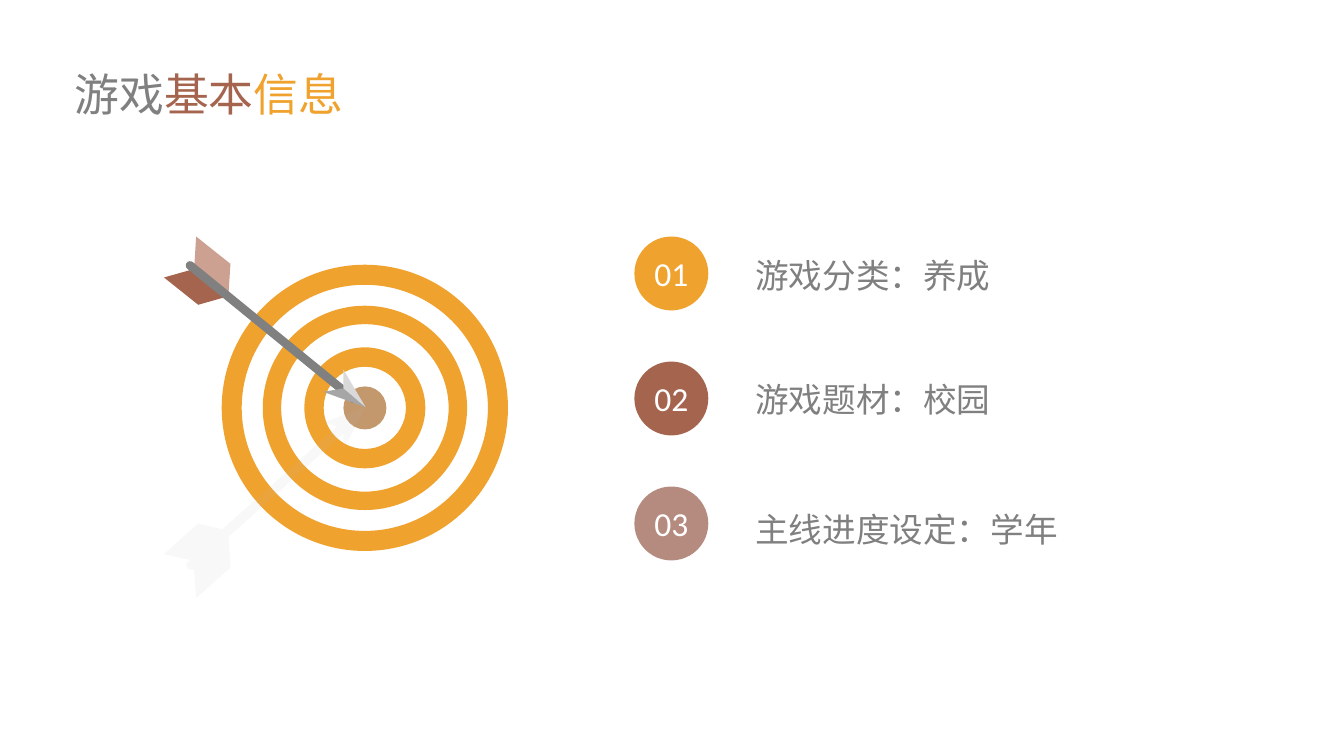
from collections import namedtuple
from math import atan2, cos, pi, sin

from lxml import etree
from pptx import Presentation
from pptx.dml.color import RGBColor
from pptx.enum.shapes import MSO_SHAPE
from pptx.enum.text import MSO_ANCHOR, PP_ALIGN
from pptx.oxml.ns import qn
from pptx.util import Inches, Pt

OVAL, DONUT = MSO_SHAPE.OVAL, MSO_SHAPE.DONUT
MIDDLE, CENTER = MSO_ANCHOR.MIDDLE, PP_ALIGN.CENTER
UNIT = Inches(0.1)
COLUMNS, ROWS = 100, 56.25
CHINESE_FONT, NUMBER_FONT = "Noto Sans CJK SC", "Calibri"
COLORS = {
    "gold": "F0A22E", "brown": "A5644E", "rose": "B58B80", "pink": "CCA192",
    "tan": "C3986D", "gray": "808080", "steel": "A6A6A6", "silver": "D9D9D9",
    "shadow": "BFBFBF", "white": "FFFFFF",
}
Box = namedtuple("Box", "left top width height")

RINGS = [(21.3, 0.07), (15.2, 0.09), (9, 0.16)]
BULLSEYE = 3.2
FEATHERS = [
    ("brown", [(0.32, 0.35), (0.17, 0.4), (0, 0.24), (0.15, 0.19)]),
    ("pink", [(0.32, 0.35), (0.33, 0.16), (0.16, 0), (0.15, 0.19)]),
]
BARBS = [
    ("steel", [(0.79, 0.91), (1, 1), (0.89, 0.89)]),
    ("silver", [(0.89, 0.89), (1, 1), (0.89, 0.78)]),
]
SHAFT_ENDS = (0.13, 0.17), (0.94, 0.95)
SHAFT_RADIUS = 0.32
SHADOW = [
    (1, 0), (0.89, 0.22), (0.89, 0.14), (0.32, 0.68), (0.33, 0.84), (0.16, 1),
    (0.15, 0.85), (0.12, 0.85), (0.11, 0.82), (0.13, 0.8), (0, 0.77),
    (0.17, 0.61), (0.29, 0.64), (0.86, 0.1), (0.79, 0.08),
]
ITEMS = [
    ("01", "gold", "游戏分类：养成", 0.8),
    ("02", "brown", "游戏题材：校园", 0.7),
    ("03", "rose", "主线进度设定：学年", 1.1),
]
TITLE = [("游戏", "gray"), ("基本", "brown"), ("信息", "gold")]


def grid(*lengths):
    """Turn grid lengths into slide lengths."""
    return [round(length * UNIT) for length in lengths]


def paint(shape, color):
    """Give a shape a plain fill without outline or shadow."""
    shape.shadow.inherit = False
    shape.fill.solid()
    shape.fill.fore_color.rgb = RGBColor.from_string(COLORS[color])
    shape.line.fill.background()
    return shape


def add_round(slide, kind, box, color):
    """Add a filled disc or ring that fills the box."""
    return paint(slide.shapes.add_shape(kind, *grid(*box)), color)


def add_polygon(slide, points, color):
    """Add a closed outline through points given in grid lengths."""
    corners = [grid(*point) for point in points]
    builder = slide.shapes.build_freeform(*corners[0])
    builder.add_line_segments(corners[1:], close=True)
    return paint(builder.convert_to_shape(), color)


def within(box, points):
    """Turn shares of a box into grid points."""
    return [(box.left + x * box.width, box.top + y * box.height) for x, y in points]


def set_font(paragraph, name, size, color):
    """Set the font of a paragraph for Latin and Chinese text."""
    font = paragraph.font
    font.name, font.size = name, Pt(size)
    font.color.rgb = RGBColor.from_string(COLORS[color])
    properties = paragraph._p.pPr.find(qn("a:defRPr"))
    etree.SubElement(properties, qn("a:ea")).set("typeface", name)


def clear_margins(frame):
    """Remove the inner margins of a text frame."""
    frame.margin_left = frame.margin_right = 0
    frame.margin_top = frame.margin_bottom = 0


def add_text(slide, box, parts, size):
    """Add a line of text made of coloured parts."""
    frame = slide.shapes.add_textbox(*grid(*box)).text_frame
    clear_margins(frame)
    frame.word_wrap = True
    paragraph = frame.paragraphs[0]
    set_font(paragraph, CHINESE_FONT, size, parts[0][1])
    for text, color in parts:
        run = paragraph.add_run()
        run.text = text
        if len(parts) > 1:
            run.font.color.rgb = RGBColor.from_string(COLORS[color])
    return paragraph


def draw_target(slide, box):
    """Draw the concentric rings and the bullseye in a square box."""
    def centered(diameter):
        """Return a square box in the middle of the target."""
        inset = (box.width - diameter) / 2
        return Box(box.left + inset, box.top + inset, diameter, diameter)

    add_round(slide, OVAL, centered(BULLSEYE), "tan")
    for diameter, thickness in RINGS:
        ring = add_round(slide, DONUT, centered(diameter), "gold")
        ring.adjustments[0] = thickness


def draw_arrow(slide, box):
    """Draw feathers, a round-ended shaft and a tip at the box's lower right."""
    for color, points in FEATHERS:
        add_polygon(slide, within(box, points), color)
    tail, head = within(box, SHAFT_ENDS)
    angle = atan2(head[1] - tail[1], head[0] - tail[0])
    outline = []
    for (x, y), start in ((head, angle - pi / 2), (tail, angle + pi / 2)):
        turns = [start + step * pi / 8 for step in range(9)]
        outline += [(x + SHAFT_RADIUS * cos(turn), y + SHAFT_RADIUS * sin(turn))
                    for turn in turns]
    add_polygon(slide, outline, "gray")
    for color, points in BARBS:
        add_polygon(slide, within(box, points), color)


def draw_shadow(slide, box):
    """Draw the faint mirrored arrow."""
    shape = add_polygon(slide, within(box, SHADOW), "shadow")
    color = shape._element.spPr.find(qn("a:solidFill"))[0]
    etree.SubElement(color, qn("a:alpha")).set("val", "10000")


def draw_items(slide, box):
    """Draw numbered discs with labels, evenly spaced down the box."""
    disc = 5.5
    pitch = (box.height - disc) / (len(ITEMS) - 1)
    for index, (number, color, label, drop) in enumerate(ITEMS):
        top = box.top + index * pitch
        label_box = Box(box.left + 9, top + drop, box.width - 9, 3.6)
        add_text(slide, label_box, [(label, "gray")], 18).line_spacing = 1.2
        badge = add_round(slide, OVAL, Box(box.left, top, disc, disc), color)
        frame = badge.text_frame
        clear_margins(frame)
        frame.vertical_anchor = MIDDLE
        paragraph = frame.paragraphs[0]
        paragraph.text = number
        paragraph.alignment = CENTER
        set_font(paragraph, NUMBER_FONT, 18, "white")


def main():
    """Build and save the slide."""
    presentation = Presentation()
    presentation.slide_width, presentation.slide_height = grid(COLUMNS, ROWS)
    slide = presentation.slides.add_slide(presentation.slide_layouts[6])
    draw_target(slide, Box(16.5, 19.7, 21.3, 21.3))
    draw_arrow(slide, Box(12.2, 17.6, 15, 12.7))
    draw_shadow(slide, Box(12.2, 30.3, 15, 14.2))
    draw_items(slide, Box(47.2, 17.6, 38.1, 24.1))
    add_text(slide, Box(5.55, 5, 27.7, 4), TITLE, 24)
    presentation.save("out.pptx")


if __name__ == "__main__":
    main()
